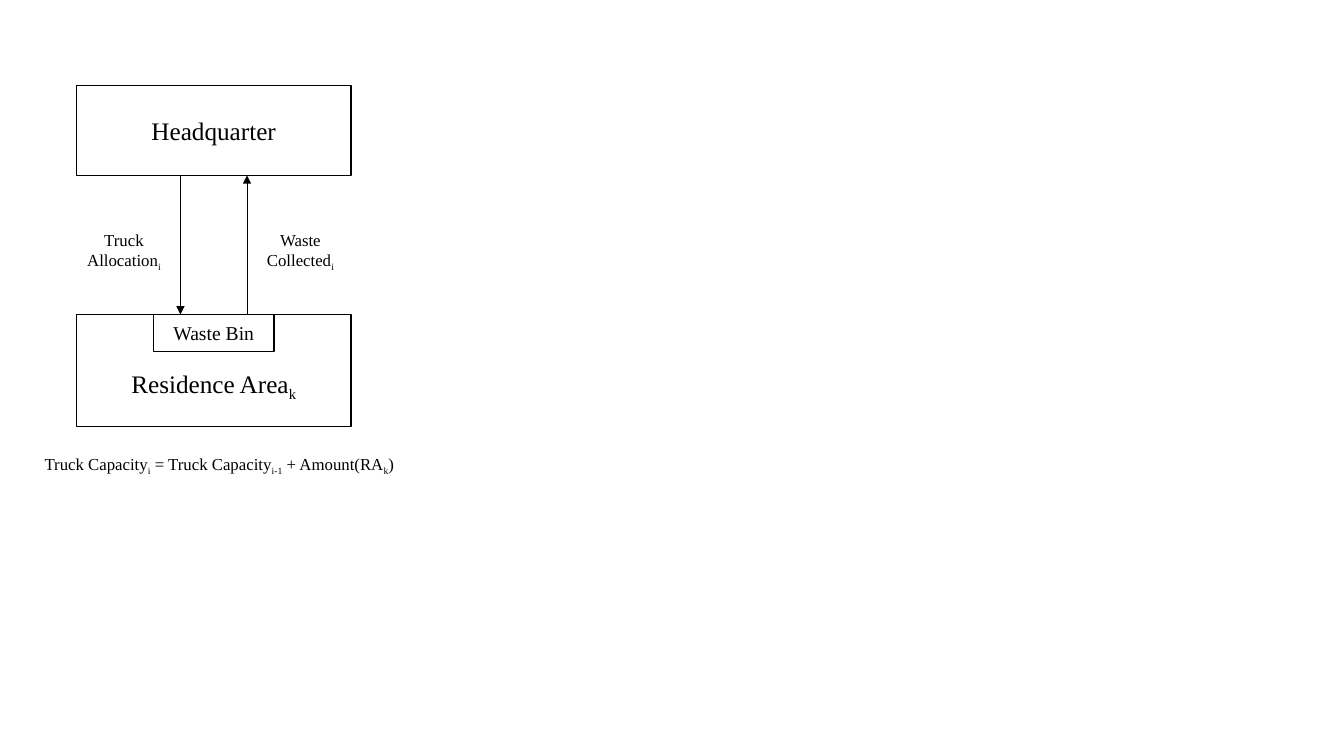
from lxml.etree import SubElement
from pptx import Presentation
from pptx.dml.color import RGBColor
from pptx.enum.shapes import MSO_CONNECTOR as Link, MSO_SHAPE as Shape
from pptx.enum.text import MSO_ANCHOR as Anchor, MSO_AUTO_SIZE as Fit, PP_ALIGN as Align
from pptx.oxml.ns import qn
from pptx.util import Inches, Pt

FONT, INK, PAPER = "Times New Roman", "000000", "FFFFFF"
LEFT, WIDTH = 0.76, 2.72
HQ_TOP, HQ_HIGH = 0.85, 0.89
AREA_TOP, AREA_HIGH = 3.12, 1.11
BIN_WIDE, BIN_HIGH = 1.2, 0.37
HQ_END = HQ_TOP + HQ_HIGH
MID = LEFT + WIDTH / 2

# Text between two underscores is set as a subscript.
# text, left, top, width, height, size, top inset
BOXES = [
    ("Headquarter", LEFT, HQ_TOP, WIDTH, HQ_HIGH, 18, 0.05),
    ("Residence Area_k_", LEFT, AREA_TOP, WIDTH, AREA_HIGH, 18, 0.34),
    ("Waste Bin", MID - BIN_WIDE / 2, AREA_TOP, BIN_WIDE, BIN_HIGH, 14, 0.05),
]
# x, start y, end y
ARROWS = [(1.79, HQ_END, AREA_TOP), (2.45, AREA_TOP, HQ_END)]
# text, left, top, width, height
LABELS = [
    ("Truck\nAllocation_i_", 0.75, 2.23, 0.96, 0.5),
    ("Truck Capacity_i_ = Truck Capacity_i-1_ + Amount(RA_k_)", 0.29, 4.45, 3.77, 0.3),
    ("Waste\nCollected_i_", 2.53, 2.23, 0.9, 0.5),
]


def color(code):
    return RGBColor.from_string(code)


def write(frame, text, size):
    """Fill a frame with centred lines, lowering the marked subscripts."""
    for n, line in enumerate(text.split("\n")):
        para = frame.add_paragraph() if n else frame.paragraphs[0]
        para.alignment = Align.CENTER
        para.font.name = FONT
        para.font.size = Pt(size)
        para.font.color.rgb = color(INK)
        for k, part in enumerate(line.split("_")):
            if part:
                run = para.add_run()
                run.text = part
                if k % 2:
                    run._r.get_or_add_rPr().set("baseline", "-25000")


def add_box(shapes, text, left, top, width, height, size, inset):
    box = shapes.add_shape(Shape.RECTANGLE, *map(Inches, (left, top, width, height)))
    box.shadow.inherit = False
    box.fill.solid()
    box.fill.fore_color.rgb = color(PAPER)
    box.line.color.rgb = color(INK)
    box.line.width = Pt(1)
    frame = box.text_frame
    frame.vertical_anchor = Anchor.MIDDLE
    frame.margin_top = Inches(inset)
    write(frame, text, size)


def add_arrow(shapes, x, start, end):
    arrow = shapes.add_connector(Link.STRAIGHT, *map(Inches, (x, start, x, end)))
    arrow.line.color.rgb = color(INK)
    arrow.line.width = Pt(0.5)
    SubElement(arrow.line._get_or_add_ln(), qn("a:tailEnd"), type="triangle")
    SubElement(arrow._element.spPr, qn("a:effectLst"))


def add_label(shapes, text, *place):
    frame = shapes.add_textbox(*map(Inches, place)).text_frame
    frame.word_wrap = False
    frame.auto_size = Fit.SHAPE_TO_FIT_TEXT
    write(frame, text, 12)


def main():
    deck = Presentation()
    deck.slide_width, deck.slide_height = Inches(13.33), Inches(7.5)
    slide = deck.slides.add_slide(deck.slide_layouts[6])
    shapes = slide.shapes.add_group_shape().shapes
    for box in BOXES:
        add_box(shapes, *box)
    for arrow in ARROWS:
        add_arrow(shapes, *arrow)
    for label in LABELS:
        add_label(shapes, *label)
    deck.save("out.pptx")


if __name__ == "__main__":
    main()
